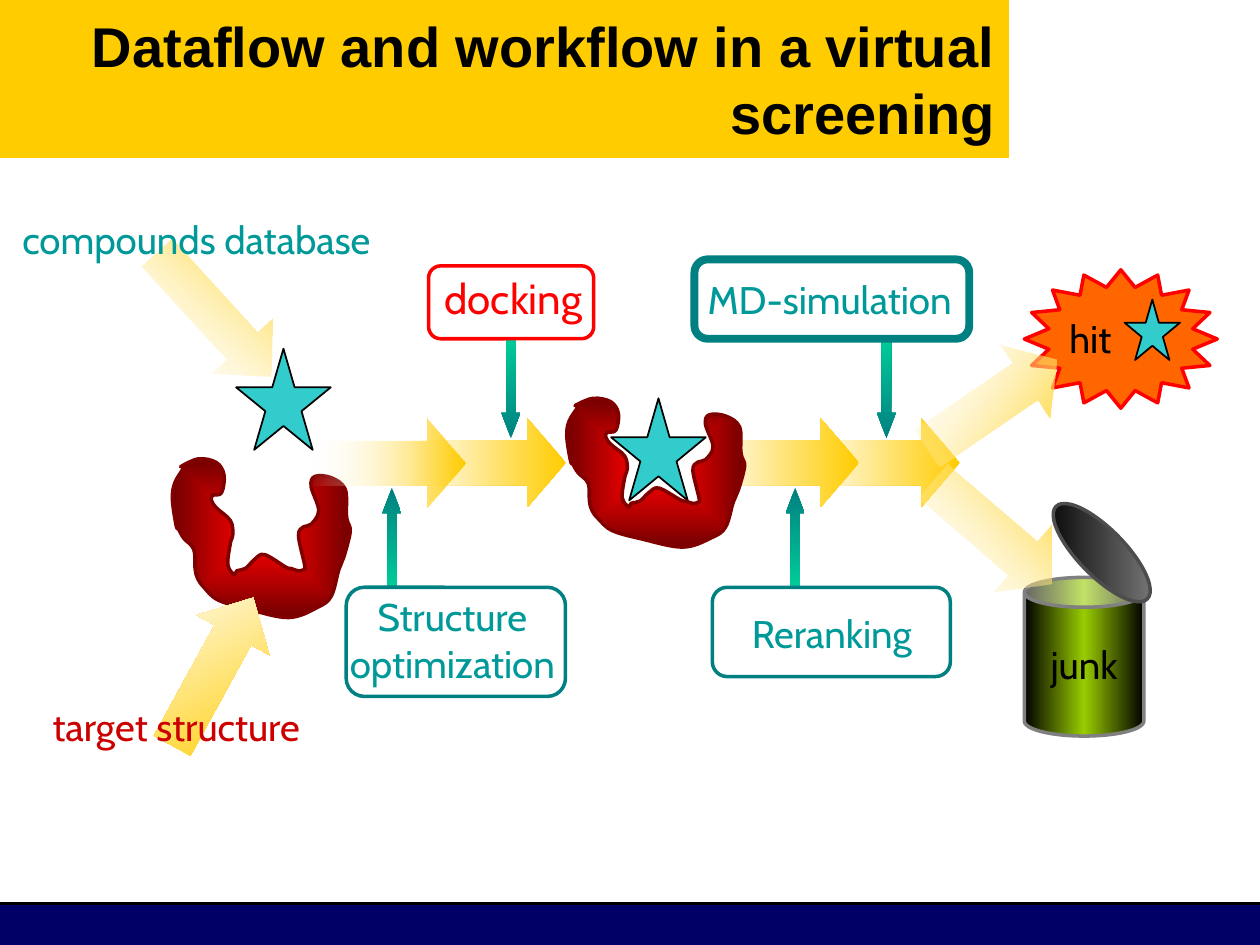
from dataclasses import dataclass
from math import cos, pi, sin

from lxml import etree
from pptx import Presentation
from pptx.dml.color import RGBColor
from pptx.enum import shapes, text
from pptx.oxml.ns import qn
from pptx.util import Cm, Pt

BLACK = RGBColor(0x00, 0x00, 0x00)
WHITE = RGBColor(0xFF, 0xFF, 0xFF)
NAVY = RGBColor(0x00, 0x00, 0x66)
YELLOW = RGBColor(0xFF, 0xCC, 0x00)
TEAL = RGBColor(0x00, 0x80, 0x80)
TEXT_TEAL = RGBColor(0x00, 0x99, 0x99)
GREEN = RGBColor(0x00, 0xCC, 0x99)
CYAN = RGBColor(0x33, 0xCC, 0xCC)
RED = RGBColor(0xFF, 0x00, 0x00)
TEXT_RED = RGBColor(0xCC, 0x00, 0x00)
MAROON = RGBColor(0x80, 0x00, 0x00)
DARK_RED = RGBColor(0x75, 0x00, 0x00)
ORANGE = RGBColor(0xFF, 0x66, 0x00)
LIME = RGBColor(0x99, 0xCC, 0x00)
GREY = RGBColor(0x80, 0x80, 0x80)
DARK_GREY = RGBColor(0x4D, 0x4D, 0x4D)

KIND = shapes.MSO_SHAPE
CENTER = text.PP_ALIGN.CENTER

# Outline of the protein pocket, in hundredths of an inch at full size
POCKET_SIZE = (142, 126)
POCKET = [
    (8, 6), (22, 0), (36, 3), (42, 13), (40, 27), (33, 29), (32, 33), (36, 39),
    (47, 49), (49, 60), (47, 67), (45, 84), (50, 92), (52, 89), (59, 87), (66, 80),
    (74, 76), (91, 86), (95, 87), (101, 89), (105, 88), (106, 85), (101, 61),
    (105, 54), (111, 52), (117, 41), (111, 22), (114, 14), (127, 15), (138, 24),
    (139, 44), (140, 50), (142, 58), (137, 78), (133, 88), (127, 109), (116, 118),
    (93, 126), (60, 119), (37, 112), (26, 102), (21, 95), (19, 87), (18, 72),
    (10, 63), (6, 56), (4, 53), (1, 32), (3, 19), (10, 7),
]


@dataclass
class Box:
    """A rectangle in centimetres."""
    left: float
    top: float
    width: float
    height: float

    def inner(self, left, top, width, height):
        return Box(self.left + left, self.top + top, width, height)

    def lengths(self):
        return Cm(self.left), Cm(self.top), Cm(self.width), Cm(self.height)


def style(shape, fill=None, line=None, weight=1):
    shape.shadow.inherit = False
    if fill is None:
        shape.fill.background()
    else:
        shape.fill.solid()
        shape.fill.fore_color.rgb = fill
    if line is None:
        shape.line.fill.background()
    else:
        shape.line.color.rgb = line
        shape.line.width = Pt(weight)
    return shape


def shade(shape, colors, angle=None, fade=False):
    """Even gradient: linear at an angle, else from the centre; fade clears the last stop."""
    shape.fill.gradient()
    gradient = shape._element.spPr.find(qn("a:gradFill"))
    for child in list(gradient):
        gradient.remove(child)
    gradient.set("rotWithShape", "0")
    stops = etree.SubElement(gradient, qn("a:gsLst"))
    for index, color in enumerate(colors):
        position = 100000 * index // (len(colors) - 1)
        stop = etree.SubElement(stops, qn("a:gs"), pos=str(position))
        value = etree.SubElement(stop, qn("a:srgbClr"), val=str(color))
    if fade:
        etree.SubElement(value, qn("a:alpha"), val="0")
    if angle is None:
        center = etree.SubElement(gradient, qn("a:path"), path="rect")
        etree.SubElement(center, qn("a:fillToRect"), l="50000", t="50000", r="50000", b="50000")
    else:
        etree.SubElement(gradient, qn("a:lin"), ang=str(round(angle * 60000)), scaled="0")


def add_shape(page, kind, box, **look):
    return style(page.shapes.add_shape(kind, *box.lengths()), **look)


def add_outline(page, box, points, **look):
    """Closed outline through points given as shares of the box."""
    places = [(Cm(box.left + x * box.width), Cm(box.top + y * box.height)) for x, y in points]
    builder = page.shapes.build_freeform(*places[0])
    builder.add_line_segments(places[1:], close=True)
    return style(builder.convert_to_shape(), **look)


def round_off(outline):
    """Turn the straight sides of a closed outline into smooth curves."""
    route = outline._element.spPr.find(".//" + qn("a:path"))
    spots = [(int(spot.get("x")), int(spot.get("y"))) for spot in route.iter(qn("a:pt"))]
    if spots[-1] == spots[0]:
        spots.pop()
    for child in list(route)[1:]:
        route.remove(child)
    for index in range(len(spots)):
        before, start, end, after = (spots[(index + k) % len(spots)] for k in (-1, 0, 1, 2))
        leave = [s + (e - b) / 6 for b, s, e in zip(before, start, end)]
        reach = [e - (a - s) / 6 for s, e, a in zip(start, end, after)]
        curve = etree.SubElement(route, qn("a:cubicBezTo"))
        for x, y in (leave, reach, end):
            etree.SubElement(curve, qn("a:pt"), x=str(round(x)), y=str(round(y)))
    etree.SubElement(route, qn("a:close"))


def write(frame, lines, color, size=22, align=None, font="Cabin", bold=False):
    for index, line in enumerate(lines):
        para = frame.paragraphs[0] if index == 0 else frame.add_paragraph()
        para.alignment = align
        span = para.add_run()
        span.text = line
        span.font.name, span.font.size, span.font.bold = font, Pt(size), bold
        span.font.color.rgb = color


def add_label(page, box, lines, color, **look):
    frame = page.shapes.add_textbox(*box.lengths()).text_frame
    frame.word_wrap = False
    frame.auto_size = text.MSO_AUTO_SIZE.SHAPE_TO_FIT_TEXT
    write(frame, lines, color, **look)


def add_star(page, box):
    add_shape(page, KIND.STAR_5_POINT, box, fill=CYAN, line=BLACK)


def add_flow_arrow(page, box, turn=0, head=0.434, fade=False):
    arrow = add_shape(page, KIND.RIGHT_ARROW, box)
    arrow.adjustments[1] = head
    arrow.rotation = turn
    shade(arrow, [YELLOW, WHITE], (180 - turn) % 360, fade)


def add_pocket(page, box):
    width, height = POCKET_SIZE
    points = [(x / width, y / height) for x, y in POCKET]
    pocket = add_outline(page, box, points, line=MAROON, weight=2)
    round_off(pocket)
    shade(pocket, [RED, DARK_RED])


def add_burst(page, box, spikes=16):
    points = []
    for corner in range(2 * spikes):
        radius = 0.38 if corner % 2 else 0.5
        angle = pi + corner * pi / spikes
        points.append((0.5 + radius * cos(angle), 0.5 + radius * sin(angle)))
    add_outline(page, box, points, fill=ORANGE, line=RED, weight=2)


def draw_frame(page, box):
    """Title band at the top and ruled bar at the bottom."""
    title = page.shapes.title
    title.left, title.top, title.width, title.height = box.inner(0, 0, 20.32, 3.18).lengths()
    style(title, fill=YELLOW, line=YELLOW, weight=0.75)
    title.text_frame.vertical_anchor = text.MSO_ANCHOR.MIDDLE
    write(title.text_frame, ["Dataflow and workflow in a virtual screening"], BLACK,
          size=32, align=text.PP_ALIGN.RIGHT, font="Arial", bold=True)
    bar = box.inner(0, 18.21, box.width, 0.84)
    add_shape(page, KIND.RECTANGLE, bar, fill=NAVY)
    rule = page.shapes.add_connector(shapes.MSO_CONNECTOR.STRAIGHT, Cm(bar.left), Cm(bar.top),
                                     Cm(bar.left + bar.width), Cm(bar.top))
    rule.line.color.rgb = BLACK
    rule.line.width = Pt(1.5)
    etree.SubElement(rule._element.spPr, qn("a:effectLst"))


def draw_inputs(page, box):
    add_flow_arrow(page, box.inner(2.41, 1.26, 3.4, 1.68), 47.7, 0.51, fade=True)
    add_pocket(page, box.inner(3.25, 5.01, 3.61, 3.2))
    add_star(page, box.inner(4.56, 2.79, 1.91, 2.04))
    add_flow_arrow(page, box.inner(2.39, 8.46, 3.4, 1.68), 298.7, 0.51)
    add_label(page, box.inner(0.61, 9.81, 6.27, 1.19), ["target structure"], TEXT_RED)
    add_label(page, box.inner(0, 0, 8.36, 1.19), ["compounds database"], TEXT_TEAL)


def draw_flow(page, box, fade=False):
    """Two overlapping arrows, the first in front."""
    length = 3.15
    add_flow_arrow(page, box.inner(box.width - length, 0, length, box.height))
    add_flow_arrow(page, box.inner(0, 0, length, box.height), fade=fade)


def draw_complex(page, box):
    add_star(page, box.inner(0.92, 0, 1.91, 2.06))
    add_pocket(page, box)


def draw_step(page, box, lines, label, pointer_left, down=False,
              line=TEAL, weight=2, color=TEXT_TEAL, size=22):
    """Framed step name with a pointer to the flow below or above it."""
    reach = 2.01
    pointer_top = box.height if down else -reach
    pointer = add_shape(page, KIND.UP_ARROW, box.inner(pointer_left, pointer_top, 0.38, reach))
    pointer.adjustments[1] = 1.35
    shade(pointer, [TEAL, GREEN], 90)
    if down:
        pointer._element.spPr.find(qn("a:xfrm")).set("flipV", "1")
    add_shape(page, KIND.ROUNDED_RECTANGLE, box, line=line, weight=weight)
    add_label(page, box.inner(*label), lines, color, size=size, align=CENTER)


def draw_outcomes(page, box):
    add_burst(page, box.inner(2.23, 0, 3.89, 2.79))
    add_label(page, box.inner(2.89, 0.78, 1.45, 1.19), ["hit"], BLACK)
    can = add_shape(page, KIND.CAN, box.inner(2.23, 6.2, 2.41, 3.2), line=GREY, weight=2)
    shade(can, [BLACK, LIME, BLACK], 180)
    can.text_frame.word_wrap = False
    can.text_frame.vertical_anchor = text.MSO_ANCHOR.MIDDLE
    write(can.text_frame, ["junk"], BLACK, align=CENTER)
    lid = add_shape(page, KIND.OVAL, box.inner(3.32, 4.39, 0.94, 2.62), line=DARK_GREY, weight=2)
    lid.rotation = 315.5
    shade(lid, [GREY, BLACK], 180)
    for top, turn in ((4.39, 40.7), (1.8, 325.7)):
        add_flow_arrow(page, box.inner(0, top, 3.15, 1.8), turn, fade=True)
    add_star(page, box.inner(4.25, 0.6, 1.12, 1.22))


def main():
    deck = Presentation()
    deck.slide_width, deck.slide_height = Cm(25.4), Cm(19.05)
    page = deck.slides.add_slide(deck.slide_layouts[5])
    draw_frame(page, Box(0, 0, 25.4, 19.05))
    draw_inputs(page, Box(0.2, 4.24, 8.36, 11))
    draw_flow(page, Box(14.17, 8.43, 5.18, 1.8))
    draw_complex(page, Box(11.4, 8.03, 3.61, 3))
    draw_flow(page, Box(6.23, 8.43, 5.18, 1.8), fade=True)
    draw_step(page, Box(6.98, 11.84, 4.42, 2.2), ["Structure", "optimization"],
              (-0.4, 0, 5.08, 2.13), 0.73)
    draw_step(page, Box(14.36, 11.84, 4.8, 1.8), ["Reranking"], (0.3, 0.33, 4.22, 1.19), 1.48)
    draw_step(page, Box(8.64, 5.36, 3.33, 1.47), ["docking"], (-0.12, 0, 3.66, 1.27), 1.47,
              down=True, line=RED, color=RED, size=24)
    draw_step(page, Box(14, 5.23, 5.54, 1.6), ["MD-simulation"], (-0.21, 0.2, 5.87, 1.19), 3.68,
              down=True, weight=4.5)
    draw_outcomes(page, Box(18.42, 5.44, 6.12, 9.4))
    deck.save("out.pptx")


if __name__ == "__main__":
    main()
